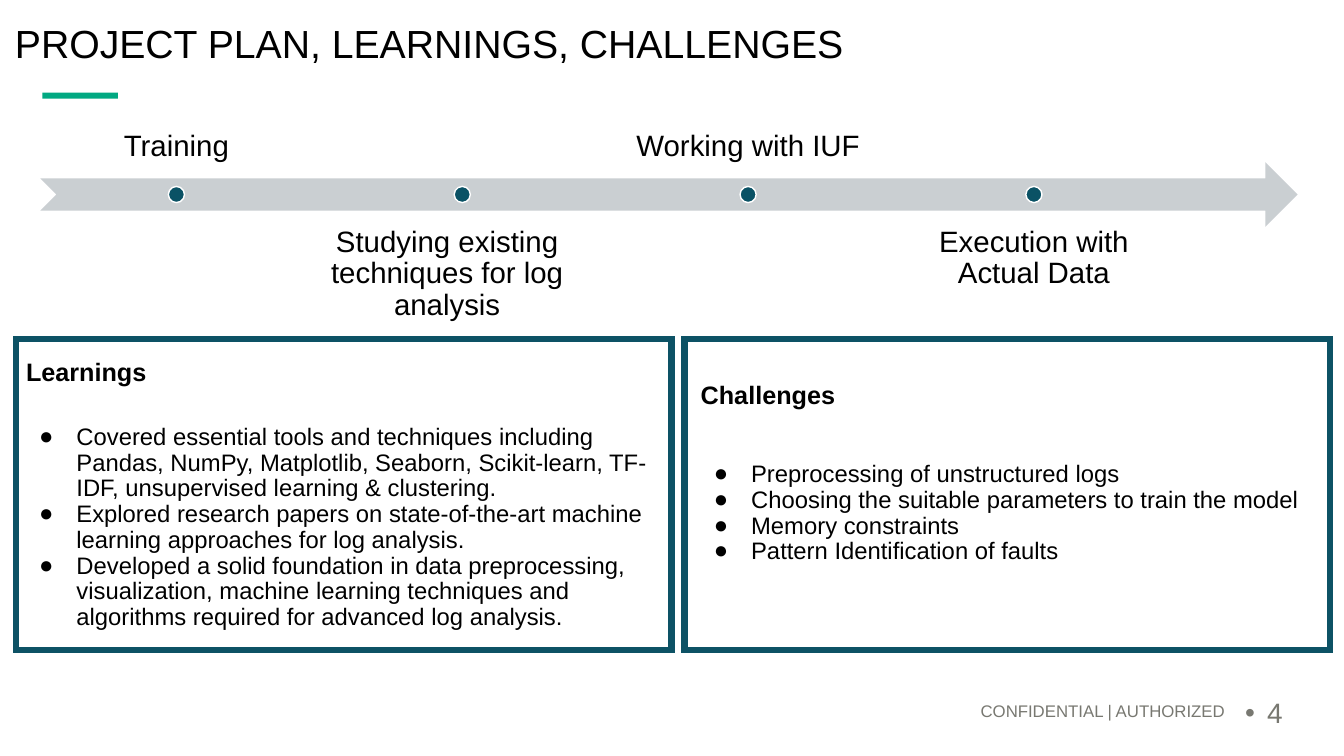
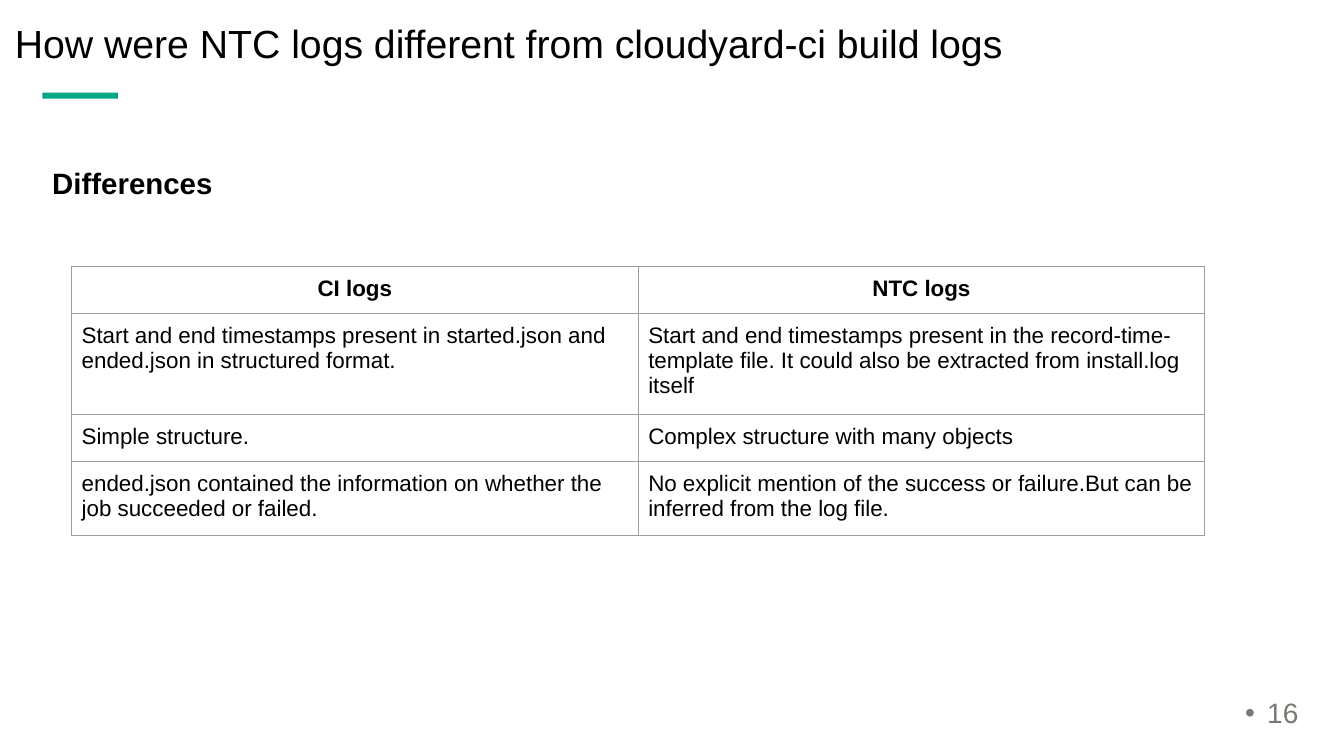
from typing import NamedTuple

from lxml import etree
from pptx import Presentation
from pptx import util as u
from pptx.dml.color import RGBColor
from pptx.enum import shapes, text
from pptx.oxml import ns

BLACK = RGBColor(0x00, 0x00, 0x00)
WHITE = RGBColor(0xFF, 0xFF, 0xFF)
GREEN = RGBColor(0x01, 0xA9, 0x82)
TEAL = RGBColor(0x0A, 0x52, 0x65)
FRAME = RGBColor(0x0D, 0x52, 0x65)
SILVER = RGBColor(0xCA, 0xCF, 0xD2)
GREY = RGBColor(0x78, 0x78, 0x71)
RULE = RGBColor(0x9E, 0x9E, 0x9E)

FONT = "Arial"
TIGHT, SINGLE = 0.9, 1.0
LEFT, CENTER, RIGHT = text.PP_ALIGN.LEFT, text.PP_ALIGN.CENTER, text.PP_ALIGN.RIGHT
TOP, MIDDLE, BOTTOM = text.MSO_ANCHOR.TOP, text.MSO_ANCHOR.MIDDLE, text.MSO_ANCHOR.BOTTOM
MARGINS = ("margin_left", "margin_top", "margin_right", "margin_bottom")


class Box(NamedTuple):
    """A rectangle in inches."""
    left: float
    top: float
    width: float
    height: float

    def emu(self):
        return [u.Inches(side) for side in self]


TITLE = Box(0.05, 0.23, 12.57, 0.44)
ACCENT = Box(0.42, 0.92, 0.75, 0.06)
NOTICE = Box(4.07, 6.7, 8.18, 0.45)
PAGE_NUMBER = Box(12.25, 6.89, 0.75, 0.4)
TIMELINE = Box(0.4, 1.13, 12.47, 2.2)
LEARNINGS = Box(0.16, 3.36, 6.5, 3.09)
CHALLENGES = Box(6.79, 3.36, 6.4, 3.09)
SUBHEAD = Box(0.42, 1.54, 6.34, 0.56)
TABLE = Box(0.71, 2.64, 11.24, 2.51)
ROW_HEIGHTS = (0.44, 0.94, 0.44, 0.69)

MILESTONES = (  # label, sideways shift from its dot
    ("Training", 0),
    ("Studying existing techniques for log analysis", -0.15),
    ("Working with IUF", 0),
    ("Execution with Actual Data", 0),
)
LEARNED = (
    "Covered essential tools and techniques including Pandas, NumPy, Matplotlib, "
    "Seaborn, Scikit-learn, TF-IDF, unsupervised learning & clustering.",
    "Explored research papers on state-of-the-art machine learning approaches "
    "for log analysis.",
    "Developed a solid foundation in data preprocessing, visualization, machine "
    "learning techniques and algorithms required for advanced log analysis.",
)
HURDLES = (
    "Preprocessing of unstructured logs",
    "Choosing the suitable parameters to train the model",
    "Memory constraints",
    "Pattern Identification of faults",
)
DIFFERENCES = (
    ("CI logs", "NTC logs"),
    ("Start and end timestamps present in started.json and ended.json in "
     "structured format.",
     "Start and end timestamps present in the record-time-template file. "
     "It could also be extracted from install.log itself"),
    ("Simple structure.", "Complex structure with many objects"),
    ("ended.json contained the information on whether the job succeeded or failed.",
     "No explicit mention of the success or failure.But can be inferred from "
     "the log file."),
)


def set_all(target, values):
    for name, value in values.items():
        setattr(target, name, value)


def set_frame(frame, insets, anchor):
    """Insets run left, top, right, bottom, in inches."""
    set_all(frame, {side: u.Inches(inset) for side, inset in zip(MARGINS, insets)})
    set_all(frame, {"word_wrap": True, "vertical_anchor": anchor})


def add_bullet(para, sign, color, indent, hang):
    props = para._p.get_or_add_pPr()
    props.set("marL", str(u.Inches(indent)))
    props.set("indent", str(-u.Inches(hang)))
    tint = etree.SubElement(props, ns.qn("a:buClr"))
    etree.SubElement(tint, ns.qn("a:srgbClr"), val=str(color))
    etree.SubElement(props, ns.qn("a:buFont"), typeface=FONT)
    etree.SubElement(props, ns.qn("a:buChar"), char=sign)


def write(para, words, size, color=BLACK, bold=False, align=LEFT, before=0,
          spacing=TIGHT):
    set_all(para, {"alignment": align, "line_spacing": spacing,
                   "space_before": u.Pt(before)})
    span = para.add_run()
    span.text = words
    set_all(span.font, {"name": FONT, "size": u.Pt(size), "bold": bold})
    span.font.color.rgb = color


def add_label(page, box, words, size, anchor=MIDDLE, inset=(0.1,) * 4, bullet=None,
              **style):
    frame = page.shapes.add_textbox(*box.emu()).text_frame
    set_frame(frame, inset, anchor)
    para = frame.paragraphs[0]
    if bullet:
        add_bullet(para, *bullet)
    write(para, words, size, **style)


def add_figure(page, preset, box, fill=None, line=None, weight=1):
    figure = page.shapes.add_shape(preset, *box.emu())
    figure.shadow.inherit = False
    if fill is None:
        figure.fill.background()
    else:
        figure.fill.solid()
        figure.fill.fore_color.rgb = fill
    if line is None:
        figure.line.fill.background()
    else:
        figure.line.color.rgb = line
        figure.line.width = u.Pt(weight)
        etree.SubElement(figure.line._ln, ns.qn("a:miter"), lim="800000")
    return figure


def add_page(deck, title, number, notice=None):
    page = deck.slides.add_slide(deck.slide_layouts[6])
    add_figure(page, shapes.MSO_SHAPE.RECTANGLE, ACCENT, GREEN)
    add_label(page, TITLE, title, 28)
    if notice:
        add_label(page, NOTICE, notice, 12, BOTTOM, (0.1, 0, 0.1, 0),
                  color=GREY, align=RIGHT)
    add_label(page, PAGE_NUMBER, number, 20, inset=(0.1, 0.05, 0.1, 0.05),
              bullet=("•", GREY, 0.22, 0.22), color=GREY)
    return page


def add_timeline(page, box, milestones):
    """Labels stand by turns above and below the arrow."""
    arrow_height, dot, label_width = 0.64, 0.16, 2.7
    step = 0.75 * arrow_height
    arrow = Box(box.left, box.top + step, box.width, arrow_height)
    middle = arrow.top + arrow_height / 2
    lower = box.top + 2 * step
    pitch = 1.05 * label_width
    add_figure(page, shapes.MSO_SHAPE.NOTCHED_RIGHT_ARROW, arrow, SILVER)
    for index, (words, shift) in enumerate(milestones):
        center = box.left + label_width / 2 + index * pitch
        left = center + shift - label_width / 2
        if index % 2:
            place = Box(left, lower, label_width, box.top + box.height - lower)
            anchor = TOP
        else:
            place = Box(left, box.top, label_width, arrow_height)
            anchor = BOTTOM
        add_label(page, place, words, 21, anchor, (0.16,) * 4, align=CENTER)
        add_figure(page, shapes.MSO_SHAPE.OVAL,
                   Box(center - dot / 2, middle - dot / 2, dot, dot), TEAL, WHITE)


def add_panel(page, box, heading, points, inset, gap):
    """Gap is the space in points between heading and list."""
    panel = add_figure(page, shapes.MSO_SHAPE.RECTANGLE, box, line=FRAME, weight=4.5)
    frame = panel.text_frame
    set_frame(frame, inset, TOP)
    write(frame.paragraphs[0], heading, 18, bold=True)
    for index, point in enumerate(points):
        para = frame.add_paragraph()
        add_bullet(para, "●", BLACK, 0.5, 0.37)
        write(para, point, 17, before=0 if index else gap)


def add_borders(cell, color, weight):
    props = cell._tc.get_or_add_tcPr()
    for index, side in enumerate(("lnL", "lnR", "lnT", "lnB")):
        edge = etree.Element(ns.qn("a:" + side), w=str(u.Pt(weight)))
        fill = etree.SubElement(edge, ns.qn("a:solidFill"))
        etree.SubElement(fill, ns.qn("a:srgbClr"), val=str(color))
        props.insert(index, edge)


def add_grid(page, box, rows, heights):
    table = page.shapes.add_table(len(rows), len(rows[0]), *box.emu()).table
    set_all(table, {"first_row": False, "horz_banding": False})
    for column in table.columns:
        column.width = u.Inches(box.width / len(rows[0]))
    for index, (row, height) in enumerate(zip(rows, heights)):
        table.rows[index].height = u.Inches(height)
        head = index == 0
        for cell, words in zip(table.rows[index].cells, row):
            cell.fill.background()
            add_borders(cell, RULE, 0.75)
            set_all(cell, dict.fromkeys(MARGINS, u.Inches(0.1)))
            write(cell.text_frame.paragraphs[0], words, 16, bold=head,
                  align=CENTER if head else LEFT, spacing=SINGLE)


def build_plan(deck):
    page = add_page(deck, "PROJECT PLAN, LEARNINGS, CHALLENGES", "4",
                    "CONFIDENTIAL | AUTHORIZED")
    add_timeline(page, TIMELINE, MILESTONES)
    add_panel(page, CHALLENGES, "Challenges", HURDLES, (0.16, 0.44, 0.2, 0.1), 37)
    add_panel(page, LEARNINGS, "Learnings", LEARNED, (0.1, 0.21, 0.2, 0.1), 27)


def build_differences(deck):
    page = add_page(deck, "How were NTC logs different from cloudyard-ci build logs", "16")
    add_grid(page, TABLE, DIFFERENCES, ROW_HEIGHTS)
    add_label(page, SUBHEAD, "Differences", 21, TOP, bold=True, spacing=SINGLE)


def main():
    deck = Presentation()
    set_all(deck, {"slide_width": u.Inches(13.33), "slide_height": u.Inches(7.5)})
    build_plan(deck)
    build_differences(deck)
    deck.save("out.pptx")


if __name__ == "__main__":
    main()
